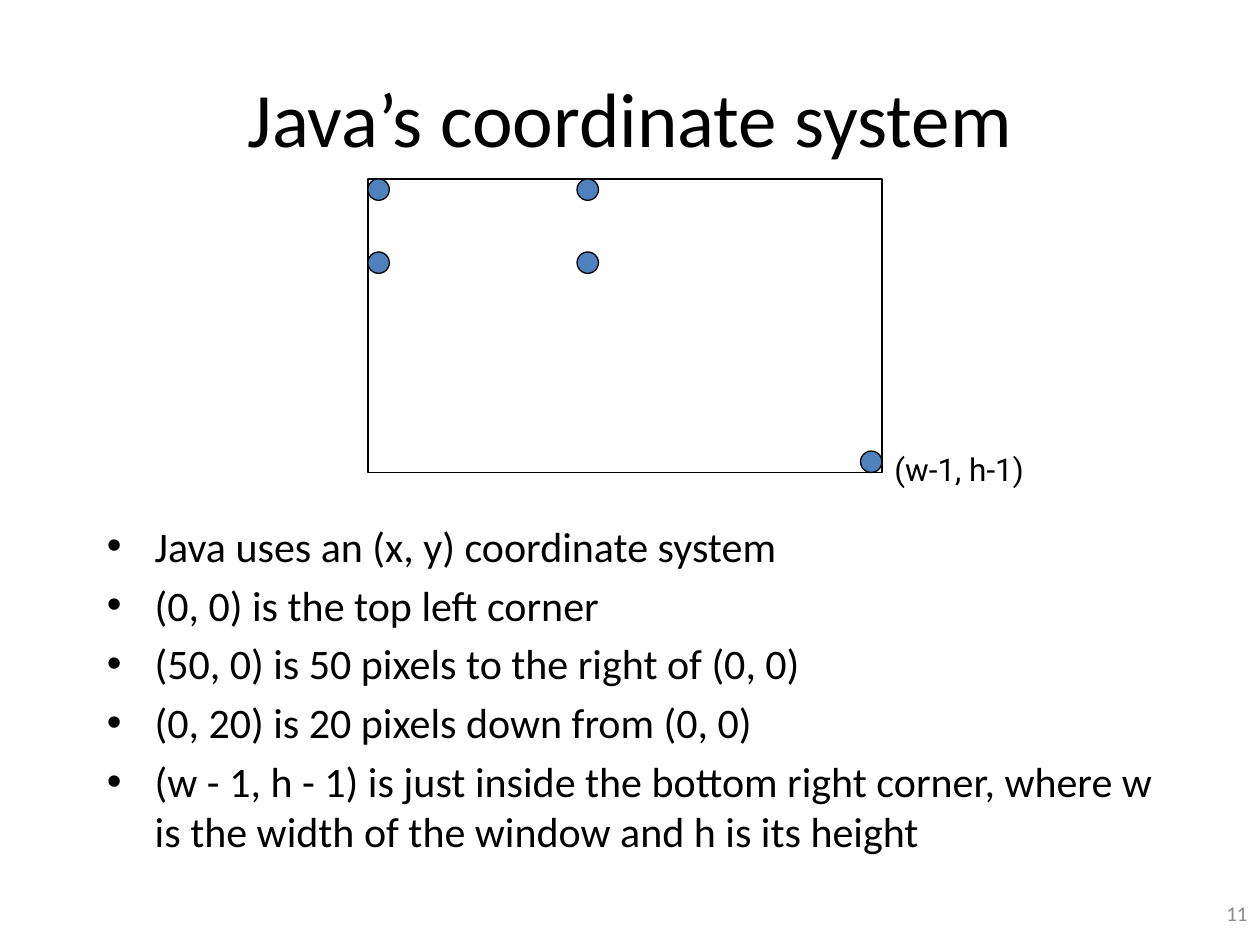
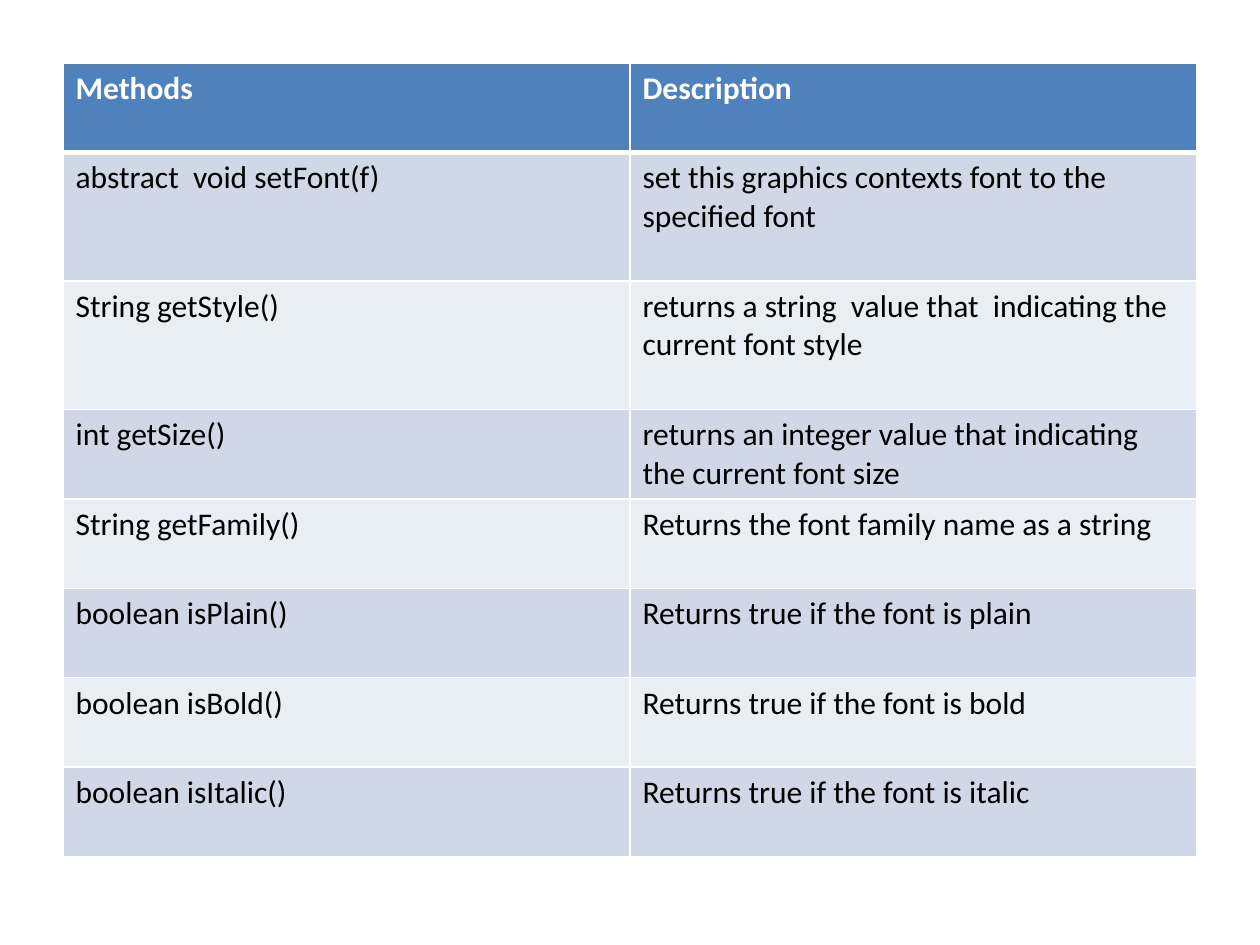
from lxml.etree import SubElement
from pptx import Presentation
from pptx.dml.color import RGBColor
from pptx.enum.shapes import MSO_SHAPE
from pptx.enum.text import MSO_ANCHOR, PP_ALIGN
from pptx.oxml.ns import qn
from pptx.util import Inches, Pt

# Content
TITLE = "Java’s coordinate system"
BULLETS = [
    "Java uses an (x, y) coordinate system",
    "(0, 0) is the top left corner",
    "(50, 0) is 50 pixels to the right of (0, 0)",
    "(0, 20) is 20 pixels down from (0, 0)",
    "(w - 1, h - 1) is just inside the bottom right corner, where w "
    "is the width of the window and h is its height",
]
CORNER_LABEL = "(w-1, h-1)"
SLIDE_NUMBER = "11"
METHODS = [
    ("Methods", "Description"),
    ("abstract  void setFont(f)",
     "set this graphics contexts font to the specified font"),
    ("String getStyle()",
     "returns a string  value that  indicating the current font style"),
    ("int getSize()",
     "returns an integer value that indicating the current font size"),
    ("String getFamily()", "Returns the font family name as a string"),
    ("boolean isPlain()", "Returns true if the font is plain"),
    ("boolean isBold()", "Returns true if the font is bold"),
    ("boolean isItalic()", "Returns true if the font is italic"),
]

# Colours and text formats
BLACK = RGBColor(0x00, 0x00, 0x00)
WHITE = RGBColor(0xFF, 0xFF, 0xFF)
GREY = RGBColor(0x8C, 0x8C, 0x8C)
BLUE = RGBColor(0x4F, 0x81, 0xBD)
BANDS = [RGBColor(0xE9, 0xED, 0xF4), RGBColor(0xD0, 0xD8, 0xE8)]

TITLE_FONT = {"name": "Calibri", "size": Pt(44), "color": BLACK}
BULLET_FONT = {"name": "Calibri", "size": Pt(24), "color": BLACK}
NUMBER_FONT = {"name": "Calibri", "size": Pt(12), "color": GREY}
LABEL_FONT = {"name": "Roboto", "size": Pt(18), "color": BLACK}
CELL_FONT = {"name": "Calibri", "size": Pt(18), "color": BLACK, "bold": False}
HEADER_FONT = {**CELL_FONT, "color": WHITE, "bold": True}

# Layout in inches
WINDOW = (2.92, 1.42, 4.08, 2.33)
DOT = 0.17
STEP_X, STEP_Y = 1.66, 0.58
COLUMN_WIDTH = 4.5
ROW_HEIGHT, TALL_ROW_HEIGHT = 0.71, 1.02
TALL_ROWS = (1, 2)


def format_text(paragraph, text, font_format, align=PP_ALIGN.LEFT):
    paragraph.alignment = align
    run = paragraph.add_run()
    run.text = text
    for key, value in font_format.items():
        if key == "color":
            run.font.color.rgb = value
        else:
            setattr(run.font, key, value)


def add_text(slide, box, lines, font_format, align=PP_ALIGN.LEFT,
             anchor=MSO_ANCHOR.TOP):
    frame = slide.shapes.add_textbox(*map(Inches, box)).text_frame
    frame.word_wrap = True
    frame.vertical_anchor = anchor
    for index, line in enumerate(lines):
        paragraph = frame.add_paragraph() if index else frame.paragraphs[0]
        format_text(paragraph, line, font_format, align)
    return frame


def add_outlined(slide, kind, box, fill):
    shape = slide.shapes.add_shape(kind, *map(Inches, box))
    shape.shadow.inherit = False
    shape.fill.solid()
    shape.fill.fore_color.rgb = fill
    shape.line.color.rgb = BLACK
    shape.line.width = Pt(0.75)


def add_bullet(paragraph):
    paragraph.space_before = Pt(4.8)
    properties = paragraph._p.get_or_add_pPr()
    properties.set("marL", str(Inches(0.38)))
    properties.set("indent", str(Inches(-0.38)))
    SubElement(properties, qn("a:buFont"), typeface="Arial")
    SubElement(properties, qn("a:buChar"), char="•")


def add_borders(cell, widths):
    properties = cell._tc.get_or_add_tcPr()
    for side, width in widths.items():
        line = SubElement(properties, qn(f"a:ln{side}"), w=str(Pt(width)))
        fill = SubElement(line, qn("a:solidFill"))
        SubElement(fill, qn("a:srgbClr"), val=str(WHITE))


def build_coordinates(slide):
    add_text(slide, (0.5, 0.3, 9, 1.25), [TITLE], TITLE_FONT,
             PP_ALIGN.CENTER, MSO_ANCHOR.MIDDLE)
    bullets = add_text(slide, (0.75, 4.08, 8.5, 3), BULLETS, BULLET_FONT)
    for paragraph in bullets.paragraphs:
        add_bullet(paragraph)
    add_text(slide, (7.92, 7, 2.08, 0.5), [SLIDE_NUMBER], NUMBER_FONT,
             PP_ALIGN.RIGHT, MSO_ANCHOR.MIDDLE)

    # Window with its marked points
    left, top, width, height = WINDOW
    add_outlined(slide, MSO_SHAPE.RECTANGLE, WINDOW, WHITE)
    points = [(x, y) for y in (0, STEP_Y) for x in (0, STEP_X)]
    points.append((width - DOT, height - DOT))
    for x, y in points:
        add_outlined(slide, MSO_SHAPE.OVAL, (left + x, top + y, DOT, DOT), BLUE)
    add_text(slide, (left + width, 3.52, 1.58, 0.4), [CORNER_LABEL], LABEL_FONT)


def build_methods(slide):
    heights = [TALL_ROW_HEIGHT if row in TALL_ROWS else ROW_HEIGHT
               for row in range(len(METHODS))]
    box = (0.5, 0.5, 2 * COLUMN_WIDTH, sum(heights))
    table = slide.shapes.add_table(len(METHODS), 2, *map(Inches, box)).table
    for column in table.columns:
        column.width = Inches(COLUMN_WIDTH)
    for row, texts in enumerate(METHODS):
        table.rows[row].height = Inches(heights[row])
        is_header = row == 0
        widths = {"L": 1, "R": 1, "T": 3 if row == 1 else 1,
                  "B": 3 if is_header else 1}
        for column, text in enumerate(texts):
            cell = table.cell(row, column)
            add_borders(cell, widths)
            cell.fill.solid()
            cell.fill.fore_color.rgb = BLUE if is_header else BANDS[row % 2]
            format_text(cell.text_frame.paragraphs[0], text,
                        HEADER_FONT if is_header else CELL_FONT)


def main():
    presentation = Presentation()
    presentation.slide_width = Inches(10)
    presentation.slide_height = Inches(7.5)
    for build in (build_coordinates, build_methods):
        build(presentation.slides.add_slide(presentation.slide_layouts[6]))
    presentation.save("out.pptx")


if __name__ == "__main__":
    main()
